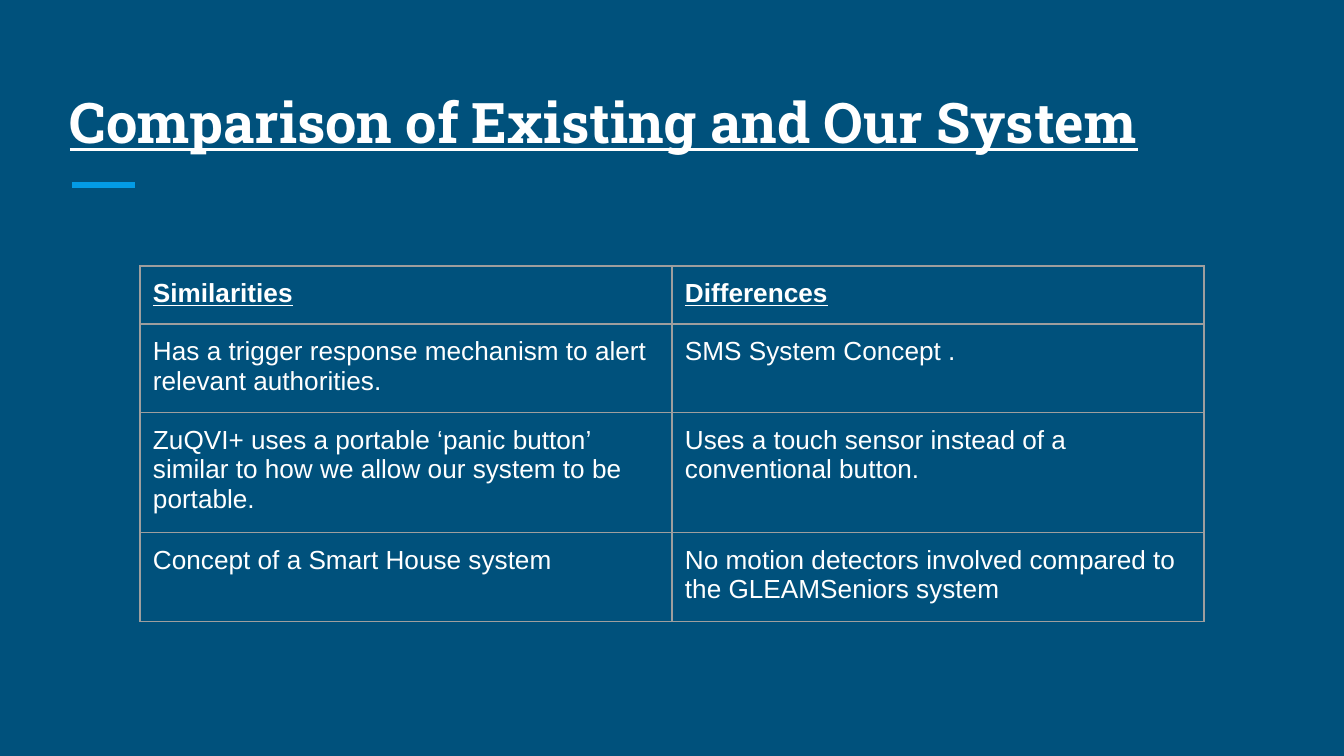
import pptx
import pptx.dml.color
import pptx.enum.shapes
import pptx.enum.text
import pptx.oxml
import pptx.oxml.ns
import pptx.util
from lxml import etree

PX = 914400 / 134.4
THEME = {
    "background": "00517C",
    "text": "FFFFFF",
    "accent": "039BE5",
    "border": "9E9E9E",
    "title_font": "Roboto Slab",
    "body_font": "Arial",
    "title_size": 30,
    "body_size": 14,
    "accent_width": 3,
    "border_width": 0.75,
}
INSET = 13
ROWS = [
    ("Similarities", "Differences"),
    ("Has a trigger response mechanism to alert relevant authorities.",
     "SMS System Concept ."),
    ("ZuQVI+ uses a portable ‘panic button’ similar to how we allow our system to be portable.",
     "Uses a touch sensor instead of a conventional button."),
    ("Concept of a Smart House system",
     "No motion detectors involved compared to the GLEAMSeniors system"),
]
MIN_ROW_HEIGHT = 58
COLUMN_WIDTH = 532


def emu(*lengths):
    return [pptx.util.Emu(round(length * PX)) for length in lengths]


def write(holder, text_frame, text, font, size, heading):
    """Fill a text box or table cell with one paragraph; headings are bold and underlined."""
    holder.margin_left, holder.margin_top, holder.margin_right, holder.margin_bottom = emu(*[INSET] * 4)
    text_frame.word_wrap = True
    para = text_frame.paragraphs[0]
    para.text = text
    span = para.runs[0]
    span.font.name = font
    span.font.size = pptx.util.Pt(size)
    span.font.bold = span.font.underline = heading
    span.font.color.rgb = pptx.dml.color.RGBColor.from_string(THEME["text"])


deck = pptx.Presentation()
deck.slide_width, deck.slide_height = emu(1344, 756)
page = deck.slides.add_slide(deck.slide_layouts[6])
page.background.fill.solid()
page.background.fill.fore_color.rgb = pptx.dml.color.RGBColor.from_string(THEME["background"])

# Title and accent line
accent = page.shapes.add_connector(
    pptx.enum.shapes.MSO_CONNECTOR.STRAIGHT, *emu(72, 185, 135, 185))
accent.line.color.rgb = pptx.dml.color.RGBColor.from_string(THEME["accent"])
accent.line.width = pptx.util.Pt(THEME["accent_width"])
etree.SubElement(accent.element.spPr, pptx.oxml.ns.qn("a:effectLst"))

title = page.shapes.add_textbox(*emu(57, 67, 1230, 101))
title.text_frame.vertical_anchor = pptx.enum.text.MSO_ANCHOR.BOTTOM
write(title.text_frame, title.text_frame, "Comparison of Existing and Our System",
      THEME["title_font"], THEME["title_size"], True)

# Comparison table: rows grow to fit their text
table = page.shapes.add_table(
    len(ROWS), 2, *emu(140, 266, 2 * COLUMN_WIDTH, len(ROWS) * MIN_ROW_HEIGHT)).table
table.first_row = table.horz_banding = False
for column in table.columns:
    column.width = emu(COLUMN_WIDTH)[0]
for row in table.rows:
    row.height = emu(MIN_ROW_HEIGHT)[0]

for row_index, texts in enumerate(ROWS):
    for column_index, text in enumerate(texts):
        cell = table.cell(row_index, column_index)
        write(cell, cell.text_frame, text, THEME["body_font"], THEME["body_size"], row_index == 0)
        properties = cell._tc.get_or_add_tcPr()
        for side in ("lnL", "lnR", "lnT", "lnB"):
            border = etree.SubElement(properties, pptx.oxml.ns.qn(f"a:{side}"),
                                      w=str(pptx.util.Pt(THEME["border_width"])))
            fill = etree.SubElement(border, pptx.oxml.ns.qn("a:solidFill"))
            etree.SubElement(fill, pptx.oxml.ns.qn("a:srgbClr"), val=THEME["border"])
        cell.fill.background()

deck.save("out.pptx")
